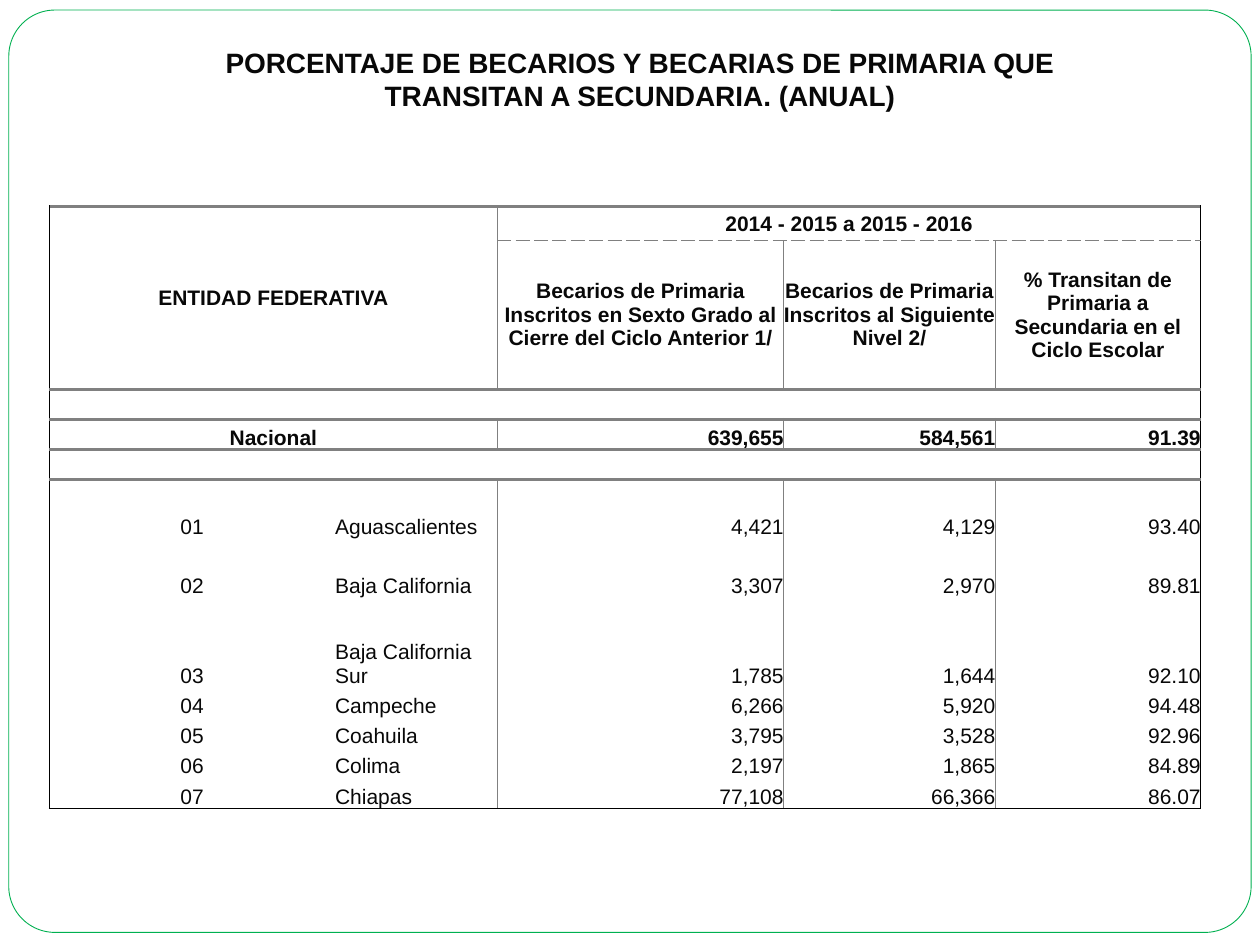
from dataclasses import dataclass
from typing import Optional

from lxml.etree import SubElement
from pptx import Presentation
from pptx.dml.color import RGBColor
from pptx.enum.shapes import MSO_SHAPE as Shape
from pptx.enum.text import MSO_ANCHOR as Anchor, PP_ALIGN as Align
from pptx.oxml.ns import qn
from pptx.util import Inches, Pt

WHITE = RGBColor(0xFF, 0xFF, 0xFF)
GREEN = RGBColor(0x00, 0xB0, 0x50)
INK = RGBColor(0x08, 0x08, 0x08)
GREY = RGBColor(0x80, 0x80, 0x80)
BLACK = RGBColor(0x00, 0x00, 0x00)

UNIT = Inches(0.01)
PAGE_COLUMNS, PAGE_ROWS = 1000, 750
COLUMN_WIDTHS = [227, 129, 227, 168, 163]
ROW_HEIGHTS = [27, 118, 24, 24, 24, 47, 47, 71, 24, 24, 24, 24]
SPACER_ROWS = (2, 4)
NATIONAL_ROW, FIRST_STATE_ROW = 3, 5
MERGES = [((0, 0), (1, 1)), ((0, 2), (0, 4)), ((3, 0), (3, 1))]

TITLE = [
    "PORCENTAJE DE BECARIOS Y BECARIAS DE PRIMARIA QUE",
    "TRANSITAN A SECUNDARIA. (ANUAL)",
]
ROWS = [
    ["ENTIDAD FEDERATIVA", "", "2014 - 2015 a 2015 - 2016", "", ""],
    ["", "",
     "Becarios de Primaria Inscritos en Sexto Grado al Cierre del Ciclo Anterior 1/",
     "Becarios de Primaria Inscritos al Siguiente Nivel 2/",
     "% Transitan de Primaria a Secundaria en el Ciclo Escolar"],
    [""] * 5,
    ["Nacional", "", "639,655", "584,561", "91.39"],
    [""] * 5,
    ["01", "Aguascalientes", "4,421", "4,129", "93.40"],
    ["02", "Baja California", "3,307", "2,970", "89.81"],
    ["03", "Baja California Sur", "1,785", "1,644", "92.10"],
    ["04", "Campeche", "6,266", "5,920", "94.48"],
    ["05", "Coahuila", "3,795", "3,528", "92.96"],
    ["06", "Colima", "2,197", "1,865", "84.89"],
    ["07", "Chiapas", "77,108", "66,366", "86.07"],
]


@dataclass(frozen=True)
class Border:
    color: RGBColor
    width: float
    dash: str = "solid"


OUTER = Border(BLACK, 0.5)
INNER = Border(GREY, 0.5)
DASHED = Border(GREY, 0.5, "dash")
THICK = Border(GREY, 2)


@dataclass(frozen=True)
class Area:
    left: int
    top: int
    width: int
    height: int

    def lengths(self) -> list[int]:
        return [UNIT * n for n in (self.left, self.top, self.width, self.height)]


FRAME = Area(7, 8, 986, 732)
TITLE_AREA = Area(39, 31, 938, 64)
TABLE_AREA = Area(39, 164, sum(COLUMN_WIDTHS), sum(ROW_HEIGHTS))


def write(para, text: str, *, size: float, bold: bool, align: Align) -> None:
    para.alignment = align
    for font in (para.font, para.add_run().font if text else para.font):
        font.name, font.size, font.bold = "Arial", Pt(size), bold
        font.color.rgb = INK
    if text:
        para.runs[0].text = text


def vertical_border(edge: int, row: int) -> Optional[Border]:
    if edge in (0, len(COLUMN_WIDTHS)):
        return OUTER
    if edge == 1 or row in SPACER_ROWS or (row == 0 and edge > 2):
        return None
    return INNER


def horizontal_border(edge: int, column: int) -> Optional[Border]:
    if edge == len(ROW_HEIGHTS):
        return OUTER
    if edge == 1:
        return DASHED if column >= 2 else None
    return THICK if edge <= FIRST_STATE_ROW else None


def draw_border(cell, tag: str, border: Optional[Border]) -> None:
    line = SubElement(cell._tc.get_or_add_tcPr(), qn(tag))
    if border is None:
        line.set("w", "0")
        SubElement(line, qn("a:noFill"))
        return
    line.set("w", str(Pt(border.width)))
    fill = SubElement(line, qn("a:solidFill"))
    SubElement(fill, qn("a:srgbClr")).set("val", str(border.color))
    SubElement(line, qn("a:prstDash")).set("val", border.dash)


def cell_align(row: int, column: int) -> Align:
    if row < NATIONAL_ROW or column == 0:
        return Align.CENTER
    return Align.LEFT if column == 1 else Align.RIGHT


def fill_cell(cell, row: int, column: int) -> None:
    cell.margin_left = cell.margin_right = cell.margin_top = cell.margin_bottom = 0
    cell.vertical_anchor = Anchor.MIDDLE if row < NATIONAL_ROW else Anchor.BOTTOM
    write(cell.text_frame.paragraphs[0], ROWS[row][column], size=12,
          bold=row < FIRST_STATE_ROW, align=cell_align(row, column))
    draw_border(cell, "a:lnL", vertical_border(column, row))
    draw_border(cell, "a:lnR", vertical_border(column + cell.span_width, row))
    draw_border(cell, "a:lnT", horizontal_border(row, column))
    draw_border(cell, "a:lnB", horizontal_border(row + cell.span_height, column))
    cell.fill.background()


def add_frame(page) -> None:
    frame = page.shapes.add_shape(Shape.ROUNDED_RECTANGLE, *FRAME.lengths())
    frame.adjustments[0] = 0.05
    frame.shadow.inherit = False
    frame.fill.solid()
    frame.fill.fore_color.rgb = WHITE
    frame.line.color.rgb = GREEN
    frame.line.width = Pt(0.5)


def add_scholarship_table(page) -> None:
    table = page.shapes.add_table(
        len(ROWS), len(COLUMN_WIDTHS), *TABLE_AREA.lengths()).table
    table.first_row = table.horz_banding = False
    for column, width in zip(table.columns, COLUMN_WIDTHS):
        column.width = UNIT * width
    for row, height in zip(table.rows, ROW_HEIGHTS):
        row.height = UNIT * height
    for first, last in MERGES:
        table.cell(*first).merge(table.cell(*last))
    for row in range(len(ROWS)):
        for column in range(len(COLUMN_WIDTHS)):
            fill_cell(table.cell(row, column), row, column)


def add_title(page) -> None:
    frame = page.shapes.add_textbox(*TITLE_AREA.lengths()).text_frame
    frame.word_wrap = True
    for index, text in enumerate(TITLE):
        para = frame.add_paragraph() if index else frame.paragraphs[0]
        write(para, text, size=16, bold=True, align=Align.CENTER)


def main() -> None:
    deck = Presentation()
    deck.slide_width = UNIT * PAGE_COLUMNS
    deck.slide_height = UNIT * PAGE_ROWS
    page = deck.slides.add_slide(deck.slide_layouts[6])
    add_frame(page)
    add_scholarship_table(page)
    add_title(page)
    deck.save("out.pptx")


if __name__ == "__main__":
    main()
